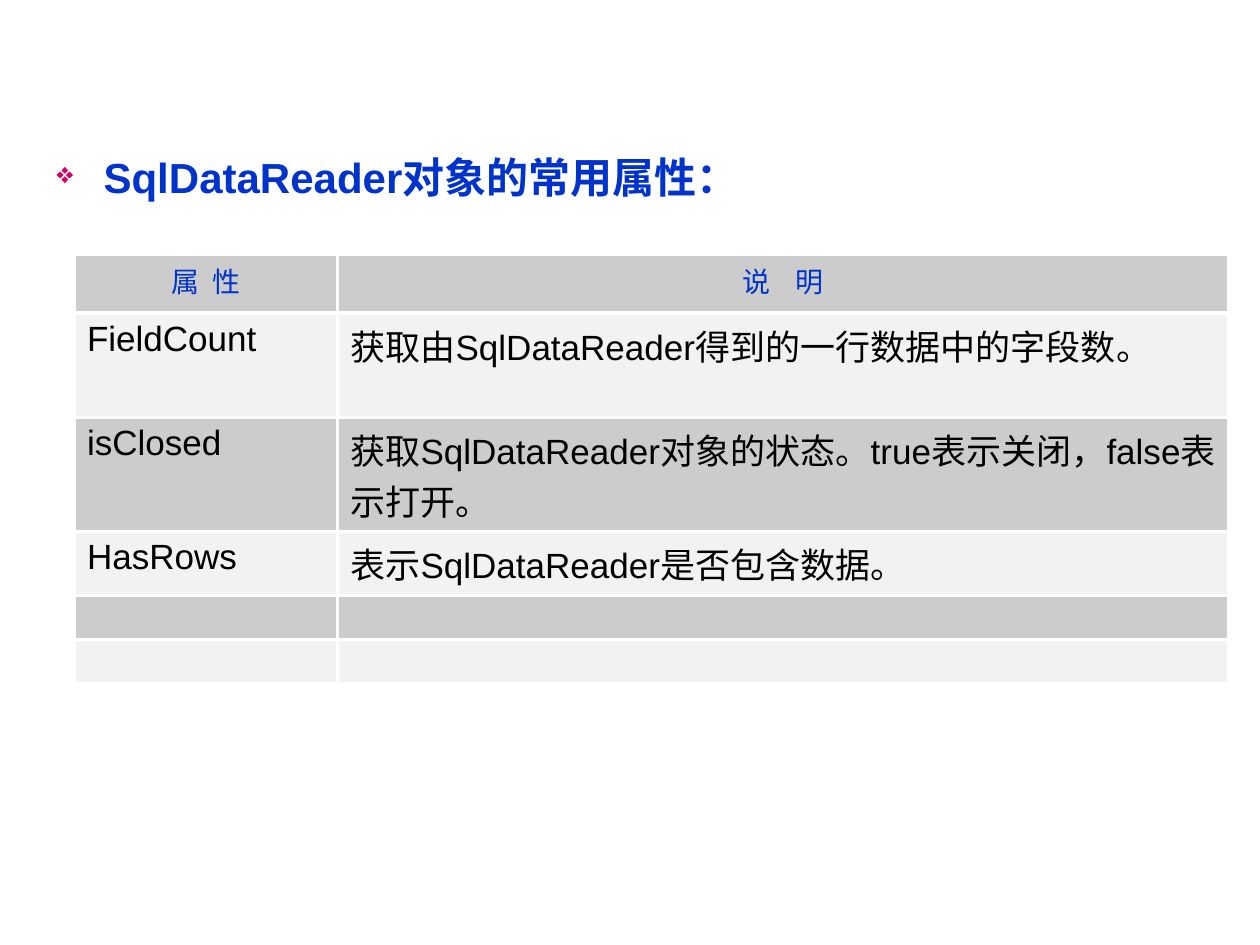
from lxml import etree
from pptx import Presentation
from pptx import util as u
from pptx.dml.color import RGBColor
from pptx.enum import text
from pptx.oxml import ns

BLUE = RGBColor(0x00, 0x33, 0xCC)
BLACK = RGBColor(0, 0, 0)
GREY = RGBColor(0xCC, 0xCC, 0xCC)
PALE = RGBColor(0xF2, 0xF2, 0xF2)
WHITE = RGBColor(0xFF, 0xFF, 0xFF)
MAGENTA = RGBColor(0xCC, 0x00, 0x66)

# Content
HEADING = "SqlDataReader对象的常用属性："
ROWS = [
    ("属  性", "说    明"),
    ("FieldCount", "获取由SqlDataReader得到的一行数据中的字段数。"),
    ("isClosed", "获取SqlDataReader对象的状态。true表示关闭，false表示打开。"),
    ("HasRows", "表示SqlDataReader是否包含数据。"),
    ("", ""),
    ("", ""),
]
COL_WIDTHS = (5.31, 17.96)
ROW_HEIGHTS = (1.19, 2.11, 2.3, 1.29, 0.89, 0.89)

# Formats
HEADING_FONT = dict(name="Arial", size=u.Pt(24), bold=True)
HEADER_FONT = dict(name="Times New Roman", size=u.Pt(16), bold=False)
BODY_FONT = dict(name="Arial", size=u.Pt(20), bold=False)


def add_run(p, words, fmt, color):
    r = p.add_run()
    r.text = words
    for key, value in fmt.items():
        setattr(r.font, key, value)
    r.font.color.rgb = color


def add_bullet(p, char, color, percent, indent):
    pPr = p._p.get_or_add_pPr()
    pPr.set("marL", str(indent))
    pPr.set("indent", str(-indent))
    clr = etree.SubElement(pPr, ns.qn("a:buClr"))
    etree.SubElement(clr, ns.qn("a:srgbClr"), val=str(color))
    etree.SubElement(pPr, ns.qn("a:buSzPct"), val=str(percent * 1000))
    etree.SubElement(pPr, ns.qn("a:buChar"), char=char)


def set_borders(cell, sides, color, width):
    tcPr = cell._tc.get_or_add_tcPr()
    for i, side in enumerate(sides):
        ln = etree.Element(ns.qn(f"a:ln{side}"), w=str(width))
        fill = etree.SubElement(ln, ns.qn("a:solidFill"))
        etree.SubElement(fill, ns.qn("a:srgbClr"), val=str(color))
        tcPr.insert(i, ln)


prs = Presentation()
prs.slide_width, prs.slide_height = u.Cm(25.4), u.Cm(19.05)
s = prs.slides.add_slide(prs.slide_layouts[6])

# Heading with diamond bullet
tf = s.shapes.add_textbox(u.Cm(0.89), u.Cm(2.92), u.Cm(23.65), u.Cm(2)).text_frame
tf.word_wrap = True
p = tf.paragraphs[0]
add_bullet(p, "❖", MAGENTA, 70, u.Cm(0.95))
add_run(p, HEADING, HEADING_FONT, BLUE)

# Property table
table = s.shapes.add_table(
    len(ROWS), len(COL_WIDTHS), u.Cm(1.5), u.Cm(5.12),
    u.Cm(sum(COL_WIDTHS)), u.Cm(sum(ROW_HEIGHTS))).table
for column, width in zip(table.columns, COL_WIDTHS):
    column.width = u.Cm(width)
for i, (row, height, words) in enumerate(zip(table.rows, ROW_HEIGHTS, ROWS)):
    row.height = u.Cm(height)
    for cell, content in zip(row.cells, words):
        cell.fill.solid()
        cell.fill.fore_color.rgb = PALE if i % 2 else GREY
        set_borders(cell, "LRTB", WHITE, u.Pt(2))
        if not content:
            cell.margin_top = cell.margin_bottom = 0
            continue
        p = cell.text_frame.paragraphs[0]
        if i == 0:
            p.alignment = text.PP_ALIGN.CENTER
            add_run(p, content, HEADER_FONT, BLUE)
        else:
            add_run(p, content, BODY_FONT, BLACK)

prs.save("out.pptx")
